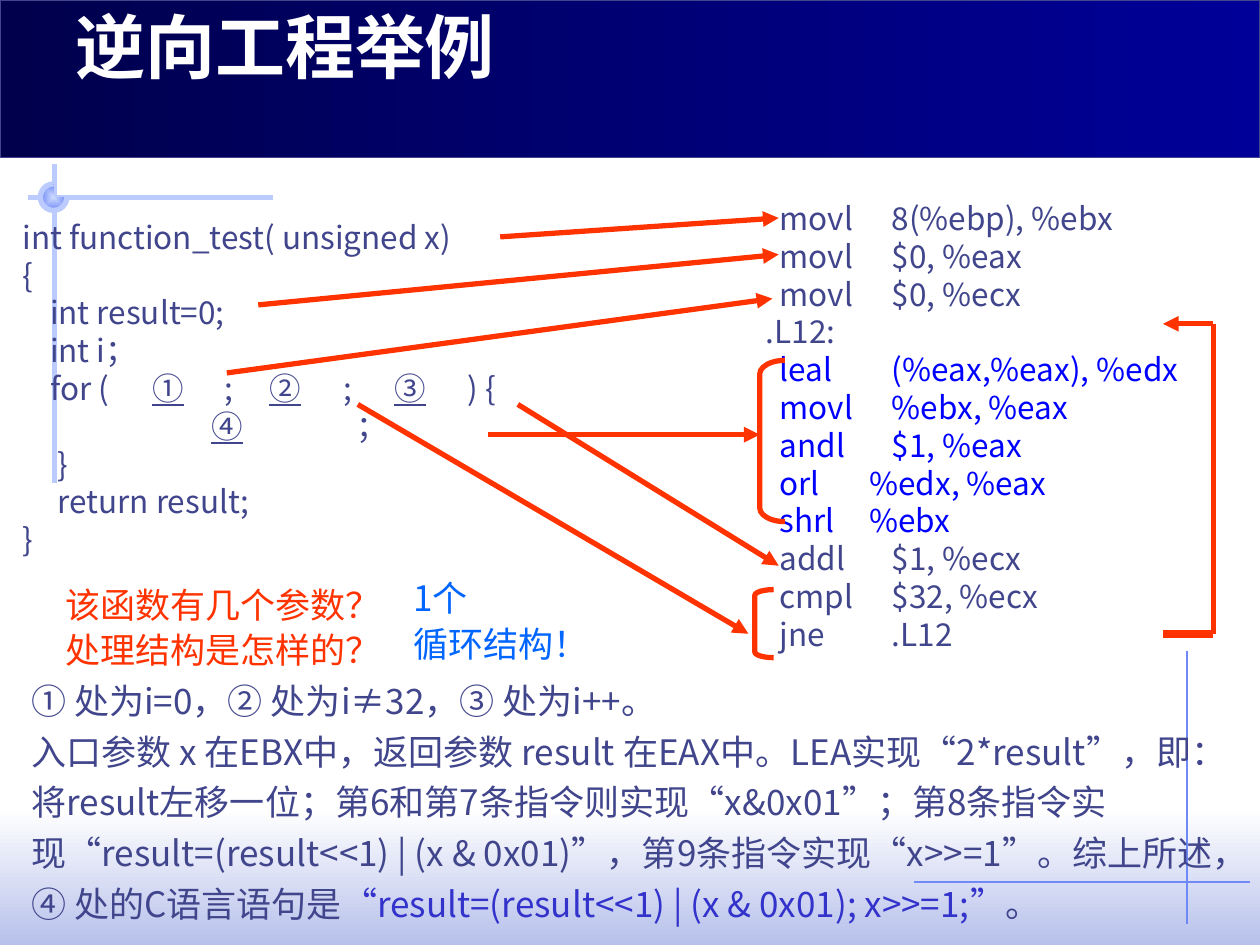
from lxml import etree
from pptx import Presentation
from pptx import util as u
from pptx.dml.color import RGBColor
from pptx.enum import shapes, text
from pptx.oxml.ns import qn

In = u.Inches
INK, RED, BLUE = "40458C", "FF3300", "0000FF"
PALE, SKY = "BBCBFD", "6F89F7"
SC, JP = "Noto Sans CJK SC", "Noto Sans CJK JP"


def rgb(value):
    return RGBColor.from_string(value)


class Board:
    """Draws the elements of one slide in a shared style."""

    def __init__(self, slide):
        self.s = slide

    def shape(self, kind, box, line=None, width=3, adj=()):
        sp = self.s.shapes.add_shape(kind, *map(In, box))
        sp.shadow.inherit = False
        sp.fill.background()
        for i, value in enumerate(adj):
            sp.adjustments[i] = value
        if line:
            sp.line.color.rgb = rgb(line)
            sp.line.width = u.Pt(width)
        else:
            sp.line.fill.background()
        return sp

    def gradient(self, sp, start, end, angle=0, centred=False):
        sp.fill.gradient()
        sp.fill.gradient_angle = angle
        for stop, colour in zip(sp.fill.gradient_stops, (start, end)):
            stop.color.rgb = rgb(colour)
        if centred:
            grad = sp.element.spPr.find(qn("a:gradFill"))
            grad.remove(grad.find(qn("a:lin")))
            way = etree.SubElement(grad, qn("a:path"), path="rect")
            etree.SubElement(way, qn("a:fillToRect"),
                             {side: "50000" for side in "ltrb"})

    def line(self, start, end, colour=RED, width=3, arrow=False):
        c = self.s.shapes.add_connector(
            shapes.MSO_CONNECTOR.STRAIGHT, *map(In, (*start, *end)))
        c.line.color.rgb = rgb(colour)
        c.line.width = u.Pt(width)
        if arrow:
            etree.SubElement(c.line._get_or_add_ln(), qn("a:tailEnd"), type="triangle")
        etree.SubElement(c.element.spPr, qn("a:effectLst"))

    def text(self, box, lines, size, colour=INK, font=SC, bold=False,
             middle=False, spacing=None, before=0):
        """Each line is (tab stops, runs); each run is (text, colour, underline)."""
        tf = self.s.shapes.add_textbox(*map(In, box)).text_frame
        tf.word_wrap = True
        tf.vertical_anchor = (text.MSO_ANCHOR.MIDDLE if middle
                              else text.MSO_ANCHOR.TOP)
        for i, (stops, runs) in enumerate(lines):
            p = tf.paragraphs[0] if i == 0 else tf.add_paragraph()
            if spacing:
                p.line_spacing = u.Pt(spacing)
            p.space_before = u.Pt(before)
            if stops:
                tabs = etree.SubElement(p._p.get_or_add_pPr(), qn("a:tabLst"))
                for stop in stops:
                    etree.SubElement(tabs, qn("a:tab"), pos=str(In(stop)), algn="l")
            for words, run_colour, underline in runs:
                r = p.add_run()
                r.text = words
                r.font.size = u.Pt(size)
                r.font.bold = bold
                r.font.name = font
                r.font.color.rgb = rgb(run_colour or colour)
                if underline:
                    r.font.underline = True
                etree.SubElement(r._r.get_or_add_rPr(), qn("a:ea"), typeface=font)


def run(words, colour=None, underline=False):
    return words, colour, underline


def blank(words):
    return run(words, underline=True)


def plain(words, stops=()):
    return stops, [run(words)]


prs = Presentation()
prs.slide_width, prs.slide_height = In(10), In(7.5)
b = Board(prs.slides.add_slide(prs.slide_layouts[6]))
KIND = shapes.MSO_SHAPE

# Background and corner ornaments
b.gradient(b.shape(KIND.RECTANGLE, (0, 6.42, 10, 1.08)), "FFFFFF", "B7C1EB", 270)
b.line((9.42, 5.17), (9.42, 7.33), SKY, 0.75)
b.line((2.17, 1.57), (0.22, 1.57), PALE)
b.line((0.43, 1.3), (0.43, 3.83), PALE)
knot = b.shape(KIND.ARC, (0.32, 1.46, 0.21, 0.21), PALE, adj=(0, 162))
b.gradient(knot, "CFDBFD", SKY, centred=True)

# Title bar
bar = b.shape(KIND.RECTANGLE, (0, 0, 10, 1.25), INK, 0.75)
b.gradient(bar, "00004D", "000099")
b.line((7.25, 7), (9.92, 7), SKY, 0.75)
b.text((0.5, 0.06, 9, 0.61), [plain("逆向工程举例")], 40, "FFFFFF", JP,
       bold=True, middle=True)

# Assembly listing
assembly = [
    ("movl", "8(%ebp), %ebx"), ("movl", "$0, %eax"), ("movl", "$0, %ecx"),
    (".L12:", ""),
    ("leal", "(%eax,%eax), %edx"), ("movl", "%ebx, %eax"), ("andl", "$1, %eax"),
    ("orl", "%edx, %eax"), ("shrl", "%ebx"),
    ("addl", "$1, %ecx"), ("cmpl", "$32, %ecx"), ("jne", ".L12"),
]
listing = []
for i, (op, args) in enumerate(assembly):
    column = 0.82 if op in ("orl", "shrl") else 1.0
    words = f"\t{op}\t{args}" if args else op
    listing.append(((0.11, column), [run(words, BLUE if 4 <= i <= 8 else INK)]))
b.text((5.98, 1.53, 3.84, 3.7), listing, 18, middle=True, spacing=21.6)

# Explanation
b.text((0.15, 5.08, 9.68, 2.5), [
    plain("① 处为i=0，② 处为i≠32，③ 处为i++。"),
    ((), [
        run("入口参数 x 在EBX中，返回参数 result 在EAX中。LEA实现“2*result”，"
            "即：将result左移一位；第6和第7条指令则实现“x&0x01”；第8条指令实现"
            "“result=(result<<1) | (x & 0x01)”，第9条指令实现“x>>=1”。"
            "综上所述，④ 处的C语言语句是"),
        run("“result=(result<<1) | (x & 0x01); x>>=1;”", "3333CC"),
        run("。")]),
], 20, middle=True, spacing=29)

# C function with blanks to fill in
b.text((0.08, 1.68, 4.87, 2.8), [
    plain("int function_test( unsigned x)"),
    plain("{"),
    plain("\tint result=0;", [0.22]),
    plain("\tint i；", [0.22]),
    ([0.22, 1.03, 1.55, 1.96, 2.49, 2.95, 3.48], [
        run("\tfor ( "), blank("\t①\t"), run(" ; "), blank("\t②\t"),
        run(" ; "), blank("\t③\t"), run(" ) {")]),
    ([0.67, 1.5, 2.65, 3.57], [
        run("\t"), blank("\t④\t"), run("；"), blank("\t")]),
    plain("\t}", [0.28]),
    plain("\treturn result;", [0.28]),
    plain("}"),
], 18, spacing=21.6)

# Arrows from the C code to the instructions
for start, end in [
    ((3.97, 1.88), (6.18, 1.73)),
    ((2.05, 2.42), (6.18, 2.02)),
    ((1.8, 2.96), (6.13, 2.37)),
    ((2.84, 3.21), (5.94, 5.03)),
    ((4.11, 3.21), (6.18, 4.49)),
    ((3.87, 3.45), (6.03, 3.45)),
]:
    b.line(start, end, arrow=True)

# Brackets around the loop body and the loop test
b.shape(KIND.LEFT_BRACKET, (6.03, 2.86, 0.2, 1.28), RED, adj=[0.544])
b.shape(KIND.LEFT_BRACKET, (5.99, 4.68, 0.15, 0.54), RED, adj=[0.306])

# Jump back to the loop label
b.line((9.63, 5.03), (9.23, 5.03), width=4.5)
b.line((9.63, 2.57), (9.63, 5.03))
b.line((9.63, 2.57), (9.23, 2.57), arrow=True)

# Questions and answers
for box, colour, lines in [
    ((0.42, 4.58, 2.81, 0.8), RED, ("该函数有几个参数？", "处理结构是怎样的？")),
    ((3.18, 4.53, 1.97, 0.8), "0066FF", ("1个", "循环结构！")),
]:
    b.text(box, [plain(words) for words in lines], 20, colour, spacing=24, before=2)

prs.save("out.pptx")
